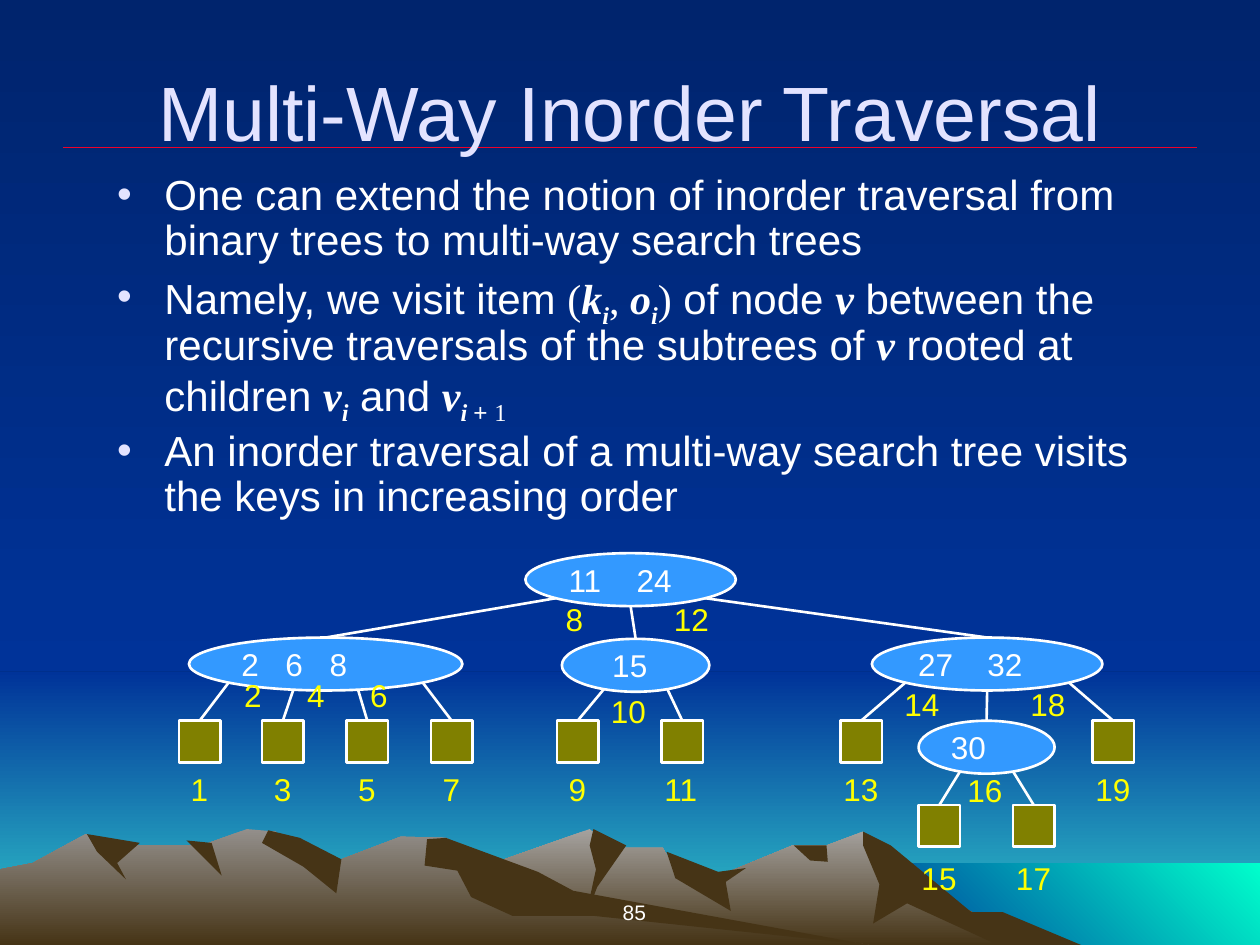
import math

import pptx
import pptx.dml.color
import pptx.enum.shapes
import pptx.enum.text
import pptx.oxml.ns
import pptx.util
from lxml import etree
from pptx.util import Inches

TITLE = "Multi-Way Inorder Traversal"
SLIDE_NUMBER = "85"

MATH = {"font": "Times New Roman", "bold": True, "italic": True}
SUBSCRIPT = {**MATH, "baseline": -25}
ROMAN = {"font": "Times New Roman"}
BULLETS = [
    [("One can extend the notion of inorder traversal from binary trees to multi-way search trees", {})],
    [("Namely, we visit item ", {}), ("(", ROMAN), ("k", MATH), ("i", SUBSCRIPT), (", ", ROMAN),
     ("o", MATH), ("i", SUBSCRIPT), (")", ROMAN), (" of node ", {}), ("v", MATH),
     (" between the recursive traversals of the subtrees of ", {}), ("v", MATH),
     (" rooted at children ", {}), ("v", MATH), ("i", SUBSCRIPT), (" and ", {}), ("v", MATH),
     ("i ", SUBSCRIPT), ("+ ", {"baseline": -25}), ("1", {**ROMAN, "baseline": -25})],
    [("An inorder traversal of a multi-way search tree visits the keys in increasing order", {})],
]

# name: left, top, width, keys, indent of the first key, step between keys
NODES = {
    "root": (4.17, 4.39, 1.67, ["11", "24"], 0, 0.54),
    "low": (1.5, 5.06, 2.17, ["2", "6", "8"], 0, 0.35),
    "middle": (4.46, 5.07, 1.17, ["15"], 0.13, 0),
    "inner": (7.29, 5.72, 1.08, ["30"], 0, 0),
    "high": (6.92, 5.06, 1.83, ["27", "32"], 0, 0.55),
}
NODE_HEIGHT = 0.42

# top, gap down to the visit number, left of each leaf by visit number
LEAF_ROWS = [
    (5.72, 0.34, {"1": 1.42, "3": 2.08, "5": 2.75, "7": 3.42,
                  "9": 4.42, "11": 5.25, "13": 6.67, "19": 8.67}),
    (6.39, 0.38, {"15": 7.29, "17": 8.04}),
]
LEAF_SIZE = 0.33

# children from left to right, and the share of the parent's half width
# at which the outer edges leave its rim
CHILDREN = {
    "root": (["low", "middle", "high"], 0.71),
    "low": (["1", "3", "5", "7"], 0.71),
    "middle": (["9", "11"], 0.43),
    "high": (["13", "inner", "19"], 0.71),
    "inner": (["15", "17"], 0.39),
}

# top of a row of key visits: its visit numbers, first centre, step
KEY_VISITS = [
    (5.32, ["2", "4", "6"], 2.01, 0.5),
    (4.71, ["8", "12"], 4.56, 0.93),
    (5.44, ["10"], 4.99, 0),
    (5.39, ["14", "18"], 7.32, 1),
    (6.07, ["16"], 7.82, 0),
]

NIGHT = ["00246D", "003399"]
# top, height, left, colours, clockwise angle
BANDS = [
    (5.33, 2.17, 0, ["003399", "33CCCC"], 90),
    (0, 5.33, 0, NIGHT, 90),
    (6.85, 0.65, 6.83, ["003399", "00FFCC"], 315),
]

# colours and outline; the points are in inches
SHADE = ["463416"]
MOUNTAINS = [
    (["A5A29F", "463416"], [
        (8.2, 7.5), (7.23, 6.98), (6.85, 6.6), (6.56, 6.71), (6.29, 6.71), (5.66, 6.97), (5.36, 6.9),
        (5.26, 6.73), (4.86, 6.73), (4.68, 6.58), (3.55, 6.98), (2.58, 7.5)]),
    (SHADE, [(6.85, 6.6), (7.07, 6.71), (7.71, 7.24), (7.96, 7.24), (8.58, 7.5), (7.92, 7.5),
             (7.2, 7.17), (6.93, 7.33), (6.98, 7.02), (6.85, 6.71)]),
    (SHADE, [(4.71, 6.58), (4.97, 6.71), (4.74, 7.04), (4.65, 7.27), (4.73, 6.9), (4.68, 6.71)]),
    (SHADE, [(5.29, 6.76), (5.7, 6.92), (5.92, 6.89), (5.76, 7), (5.8, 7.23), (5.36, 6.97)]),
    (SHADE, [(6.3, 6.71), (6.56, 6.71), (6.57, 6.84), (6.43, 6.83)]),
    (["938F8B", "463416"], [
        (6.9, 7.5), (4.32, 7.12), (3.54, 6.65), (3.18, 6.64), (2.71, 6.82), (2.36, 6.81), (2.19, 6.6),
        (1.96, 6.58), (1.6, 6.71), (0.94, 6.71), (0.68, 6.62), (0.26, 6.85), (0, 6.9), (0, 7.5)]),
    (SHADE, [(2.13, 6.59), (2.38, 6.65), (2.71, 6.82), (2.67, 7.09), (2.41, 6.88), (2.08, 6.69)]),
    (SHADE, [(3.39, 6.66), (3.54, 6.65), (4.27, 6.92), (4.55, 7.07), (6.9, 7.5), (4.72, 7.27),
             (4.07, 7.27), (3.74, 7.12), (3.63, 6.91), (3.37, 6.87)]),
    (SHADE, [(1.48, 6.67), (1.68, 6.69), (1.76, 6.95)]),
    (SHADE, [(0.69, 6.62), (1.11, 6.69), (0.93, 6.85), (1, 6.98), (0.77, 6.76)]),
]


def color(value):
    return pptx.dml.color.RGBColor.from_string(value)


def add_element(parent, tag, **attributes):
    return etree.SubElement(parent, pptx.oxml.ns.qn(tag), attributes)


def write(paragraph, text, size=18, fill="FFFFFF", font="Arial", bold=False, italic=False, baseline=0):
    run = paragraph.add_run()
    run.text = text
    run.font.size = pptx.util.Pt(size)
    run.font.name = font
    run.font.bold, run.font.italic = bold, italic
    run.font.color.rgb = color(fill)
    if baseline:
        run._r.get_or_add_rPr().set("baseline", str(baseline * 1000))


def paint(fill, colors, angle=90):
    """Fill with one colour, or with a gradient of two at a clockwise angle."""
    if len(colors) == 1:
        fill.solid()
        fill.fore_color.rgb = color(colors[0])
        return
    fill.gradient()
    fill.gradient_angle = 360 - angle
    for position, (stop, value) in enumerate(zip(fill.gradient_stops, colors)):
        stop.color.rgb = color(value)
        stop.position = position


def place(shape, left, top, width, height):
    shape.left, shape.top, shape.width, shape.height = map(Inches, (left, top, width, height))


def add_solid(slide, kind, left, top, width, height, fill):
    shape = slide.shapes.add_shape(kind, *map(Inches, (left, top, width, height)))
    shape.shadow.inherit = False
    paint(shape.fill, [fill])
    shape.line.color.rgb = color("FFFFFF")
    shape.line.width = pptx.util.Pt(1.5)
    return shape


def add_line(slide, start, end, stroke="FFFFFF", width=1.5):
    line = slide.shapes.add_connector(
        pptx.enum.shapes.MSO_CONNECTOR.STRAIGHT, *map(int, (*start, *end)))
    line.line.color.rgb = color(stroke)
    line.line.width = pptx.util.Pt(width)
    add_element(line._element.spPr, "a:effectLst")
    return line


def add_node(slide, left, top, width, keys, indent, step):
    node = add_solid(slide, pptx.enum.shapes.MSO_SHAPE.OVAL, left, top, width, NODE_HEIGHT, "3399FF")
    node.text_frame.margin_right = 0
    paragraph = node.text_frame.paragraphs[0]
    paragraph.alignment = pptx.enum.text.PP_ALIGN.LEFT
    properties = paragraph._p.get_or_add_pPr()
    properties.set("marL", str(Inches(indent)))
    if step:
        tabs = add_element(properties, "a:tabLst")
        for index in range(1, len(keys)):
            add_element(tabs, "a:tab", pos=str(Inches(step * index)), algn="l")
    write(paragraph, "\t".join(keys))
    return node


def add_visit(slide, text, center, top):
    width = 0.34 if len(text) == 1 else 0.48
    box = slide.shapes.add_textbox(*map(Inches, (center - width / 2, top, width, 0.4)))
    box.text_frame.word_wrap = False
    box.text_frame.auto_size = pptx.enum.text.MSO_AUTO_SIZE.SHAPE_TO_FIT_TEXT
    write(box.text_frame.paragraphs[0], text, fill="FFFF00")


def add_scenery(slide):
    paint(slide.background.fill, NIGHT)
    shapes = []
    for top, height, left, colors, angle in BANDS:
        band = slide.shapes.add_shape(pptx.enum.shapes.MSO_SHAPE.RECTANGLE,
                                      *map(Inches, (left, top, 10 - left, height)))
        shapes.append((band, colors, angle))
    for colors, points in MOUNTAINS:
        outline = [(Inches(x), Inches(y)) for x, y in points]
        builder = slide.shapes.build_freeform(*outline[0])
        builder.add_line_segments(outline[1:], close=True)
        shapes.append((builder.convert_to_shape(), colors, 90))
    for shape, colors, angle in shapes:
        shape.shadow.inherit = False
        shape.line.fill.background()
        paint(shape.fill, colors, angle)
    add_line(slide, (Inches(0.5), Inches(1.17)), (Inches(9.5), Inches(1.17)), "EF0129", 0.75)


def add_slide_number(slide):
    box = slide.shapes.add_textbox(*map(Inches, (3.45, 6.89, 3.17, 0.5)))
    box.text_frame.word_wrap = True
    box.text_frame.vertical_anchor = pptx.enum.text.MSO_ANCHOR.BOTTOM
    box.text_frame.paragraphs[0].alignment = pptx.enum.text.PP_ALIGN.CENTER
    write(box.text_frame.paragraphs[0], SLIDE_NUMBER, size=12)


def fill_placeholders(slide):
    title, body = slide.shapes.title, slide.placeholders[1]
    place(title, 0.5, 0.25, 9, 1.25)
    place(body, 0.83, 1.33, 8.5, 2.08)
    for shape in (title, body):
        shape.text_frame.auto_size = pptx.enum.text.MSO_AUTO_SIZE.NONE
        shape.element.getparent().append(shape.element)  # in front of the scenery
    write(title.text_frame.paragraphs[0], TITLE, size=44, fill="E3E3FF")
    for index, pieces in enumerate(BULLETS):
        paragraph = body.text_frame.add_paragraph() if index else body.text_frame.paragraphs[0]
        bullet_color = add_element(paragraph._p.get_or_add_pPr(), "a:buClr")
        add_element(bullet_color, "a:srgbClr", val="E3E3FF")
        paragraph.line_spacing = 0.9
        if index == 0:
            paragraph.space_before = 0
        for text, style in pieces:
            write(paragraph, text, size=24, **style)


def add_tree(slide):
    shapes = {name: add_node(slide, *node) for name, node in NODES.items()}
    for top, gap, leaves in LEAF_ROWS:
        for number, left in leaves.items():
            shapes[number] = add_solid(slide, pptx.enum.shapes.MSO_SHAPE.RECTANGLE,
                                       left, top, LEAF_SIZE, LEAF_SIZE, "808000")
            add_visit(slide, number, left + LEAF_SIZE / 2, top + gap)
    for name, (children, spread) in CHILDREN.items():
        parent = shapes[name]
        for index, child in enumerate(children):
            share = spread * (2 * index / (len(children) - 1) - 1)
            x = parent.left + parent.width / 2 * (1 + share)
            y = parent.top + parent.height / 2 * (1 + math.sqrt(1 - share ** 2))
            add_line(slide, (x, y), (x, y)).end_connect(shapes[child], 0)
    for top, numbers, center, step in KEY_VISITS:
        for index, number in enumerate(numbers):
            add_visit(slide, number, center + step * index, top)


def main():
    presentation = pptx.Presentation()
    presentation.slide_width, presentation.slide_height = Inches(10), Inches(7.5)
    slide = presentation.slides.add_slide(presentation.slide_layouts[1])
    add_scenery(slide)
    add_slide_number(slide)
    fill_placeholders(slide)
    add_tree(slide)
    presentation.save("out.pptx")


if __name__ == "__main__":
    main()
